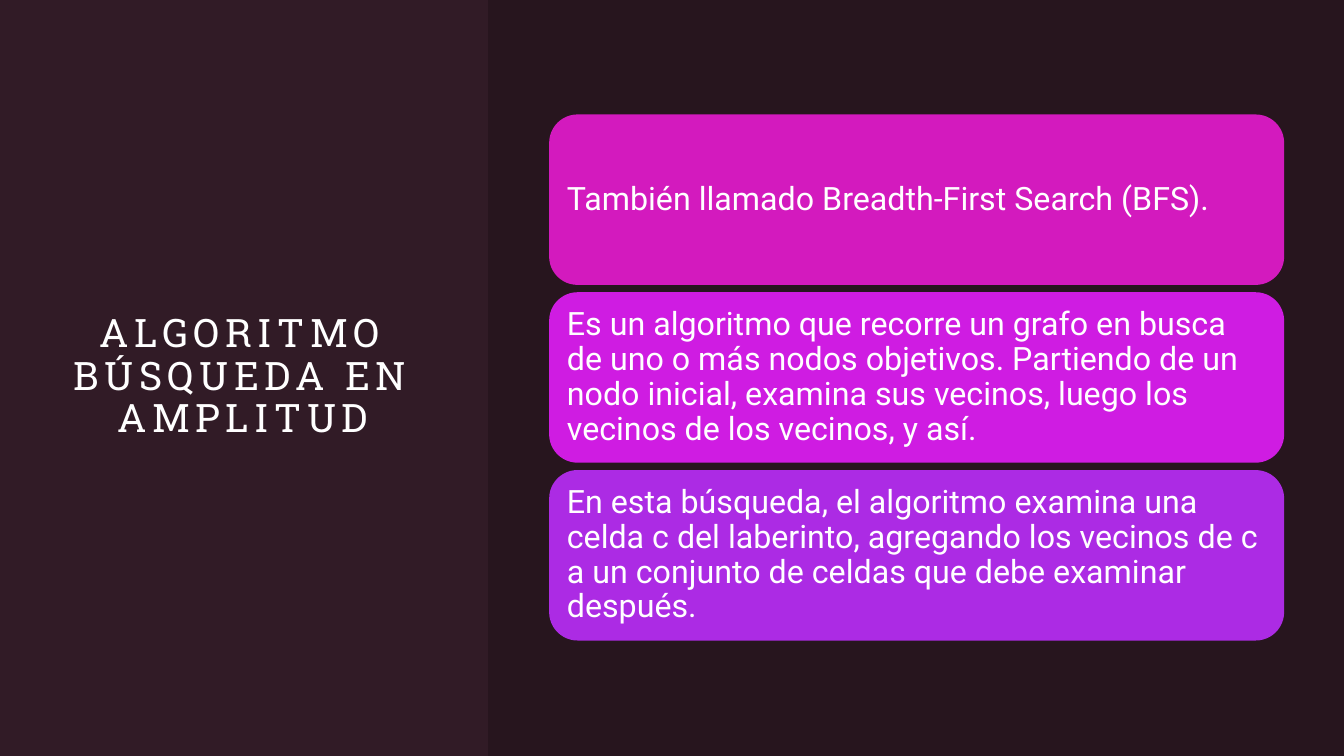
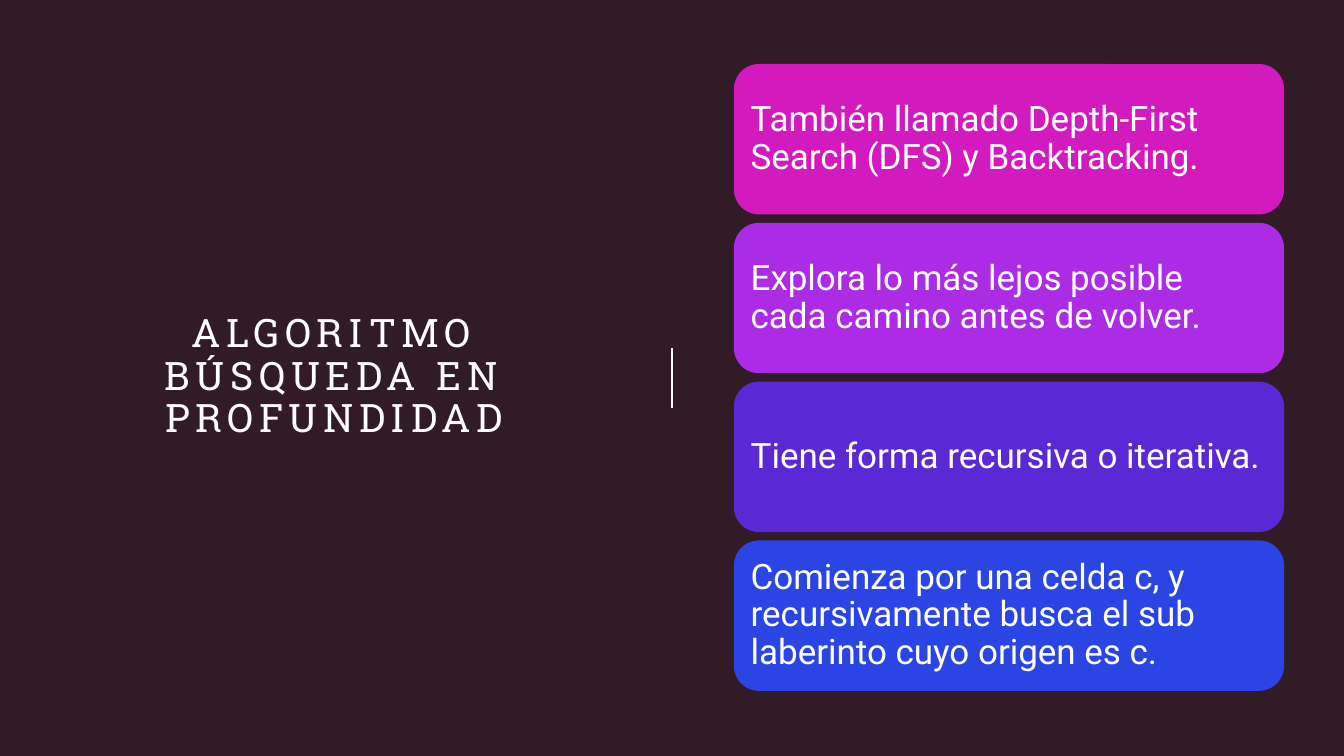
from dataclasses import dataclass

from lxml import etree
from pptx import Presentation
from pptx.dml.color import RGBColor
from pptx.enum.shapes import MSO_CONNECTOR, MSO_SHAPE
from pptx.enum.text import MSO_ANCHOR, MSO_AUTO_SIZE, PP_ALIGN
from pptx.oxml.ns import qn
from pptx.presentation import Presentation as PresentationType
from pptx.shapes.autoshape import Shape
from pptx.slide import Slide
from pptx.text.text import TextFrame
from pptx.util import Emu, Pt

RECTANGLE = MSO_SHAPE.RECTANGLE
ROUNDED_RECTANGLE = MSO_SHAPE.ROUNDED_RECTANGLE
STRAIGHT = MSO_CONNECTOR.STRAIGHT
MIDDLE = MSO_ANCHOR.MIDDLE
NO_AUTOFIT = MSO_AUTO_SIZE.NONE
CENTER = PP_ALIGN.CENTER
LEFT = PP_ALIGN.LEFT

PLUM = RGBColor(0x31, 0x1B, 0x26)
BLACK = RGBColor(0x00, 0x00, 0x00)
WHITE = RGBColor(0xFF, 0xFF, 0xFF)
MAGENTA = RGBColor(0xD3, 0x1A, 0xBE)
FUCHSIA = RGBColor(0xCF, 0x1C, 0xE2)
PURPLE = RGBColor(0xAC, 0x2B, 0xE4)
INDIGO = RGBColor(0x58, 0x29, 0xD5)
BLUE = RGBColor(0x2B, 0x45, 0xE4)

TITLE_FONT = "Roboto Slab"
BODY_FONT = "Roboto"
EMU_PER_PX = 9525
SLIDE_WIDTH = 1280
SLIDE_HEIGHT = 720
TITLE_ONLY_LAYOUT = 5
CARD_MARGIN = 9


@dataclass(frozen=True)
class Box:
    left: int
    top: int
    width: int
    height: int


@dataclass(frozen=True)
class Card:
    text: str
    color: RGBColor


@dataclass(frozen=True)
class CardStack:
    area: Box
    gap: int
    font_size: int
    cards: tuple[Card, ...]


BREADTH_TITLE_BOX = Box(57, 113, 348, 493)
DEPTH_TITLE_BOX = Box(113, 113, 410, 493)
PANEL_BOX = Box(465, 0, 815, SLIDE_HEIGHT)
DIVIDER_BOX = Box(640, 331, 0, 58)

BREADTH_STACK = CardStack(Box(523, 109, 700, 501), 7, 23, (
    Card("También llamado Breadth-First Search (BFS).", MAGENTA),
    Card("Es un algoritmo que recorre un grafo en busca de uno o más nodos "
         "objetivos. Partiendo de un nodo inicial, examina sus vecinos, luego "
         "los vecinos de los vecinos, y así.", FUCHSIA),
    Card("En esta búsqueda, el algoritmo examina una celda c del laberinto, "
         "agregando los vecinos de c a un conjunto de celdas que debe examinar "
         "después.", PURPLE),
))
DEPTH_STACK = CardStack(Box(699, 61, 524, 597), 8, 25, (
    Card("También llamado Depth-First Search (DFS) y Backtracking.", MAGENTA),
    Card("Explora lo más lejos posible cada camino antes de volver.", PURPLE),
    Card("Tiene forma recursiva o iterativa.", INDIGO),
    Card("Comienza por una celda c, y recursivamente busca el sub laberinto "
         "cuyo origen es c.", BLUE),
))


def px(length: float) -> Emu:
    return Emu(round(length * EMU_PER_PX))


def set_text(frame: TextFrame, text: str, font_name: str, font_size: int,
             alignment: PP_ALIGN, margin: int) -> None:
    frame.word_wrap = True
    frame.auto_size = NO_AUTOFIT
    frame.vertical_anchor = MIDDLE
    frame.margin_left = frame.margin_right = px(margin)
    frame.margin_top = frame.margin_bottom = px(margin)
    frame.text = text
    paragraph = frame.paragraphs[0]
    paragraph.alignment = alignment
    paragraph.line_spacing = 0.9
    paragraph.font.name = font_name
    paragraph.font.size = Pt(font_size)
    paragraph.font.color.rgb = WHITE


def add_titled_slide(presentation: PresentationType, text: str, box: Box) -> Slide:
    slide = presentation.slides.add_slide(presentation.slide_layouts[TITLE_ONLY_LAYOUT])
    title = slide.shapes.title
    title.left, title.top = px(box.left), px(box.top)
    title.width, title.height = px(box.width), px(box.height)
    set_text(title.text_frame, text, TITLE_FONT, 28, CENTER, 0)
    for properties in title.element.iter(qn("a:defRPr")):
        properties.set("spc", "400")
    return slide


def add_filled_shape(slide: Slide, kind: MSO_SHAPE, left: float, top: float,
                     width: float, height: float, color: RGBColor) -> Shape:
    shape = slide.shapes.add_shape(kind, px(left), px(top), px(width), px(height))
    shape.shadow.inherit = False
    shape.fill.solid()
    shape.fill.fore_color.rgb = color
    shape.line.fill.background()
    return shape


def add_shaded_panel(slide: Slide, box: Box) -> None:
    panel = add_filled_shape(slide, RECTANGLE, box.left, box.top,
                             box.width, box.height, BLACK)
    color = panel.element.spPr.find(qn("a:solidFill")).find(qn("a:srgbClr"))
    etree.SubElement(color, qn("a:alpha"), val="20000")


def add_divider(slide: Slide, box: Box) -> None:
    divider = slide.shapes.add_connector(
        STRAIGHT, px(box.left), px(box.top),
        px(box.left + box.width), px(box.top + box.height))
    divider.line.color.rgb = WHITE
    divider.line.width = Pt(1)
    etree.SubElement(divider.element.spPr, qn("a:effectLst"))


def add_card_stack(slide: Slide, stack: CardStack) -> None:
    area = stack.area
    count = len(stack.cards)
    height = (area.height - stack.gap * (count - 1)) / count
    for index, card in enumerate(stack.cards):
        top = area.top + index * (height + stack.gap)
        shape = add_filled_shape(slide, ROUNDED_RECTANGLE, area.left, top,
                                 area.width, height, card.color)
        set_text(shape.text_frame, card.text, BODY_FONT, stack.font_size,
                 LEFT, CARD_MARGIN)


def main() -> None:
    presentation = Presentation()
    presentation.slide_width = px(SLIDE_WIDTH)
    presentation.slide_height = px(SLIDE_HEIGHT)
    background = presentation.slide_master.background.fill
    background.solid()
    background.fore_color.rgb = PLUM

    breadth_slide = add_titled_slide(
        presentation, "ALGORITMO BÚSQUEDA EN AMPLITUD", BREADTH_TITLE_BOX)
    add_shaded_panel(breadth_slide, PANEL_BOX)
    add_card_stack(breadth_slide, BREADTH_STACK)

    depth_slide = add_titled_slide(
        presentation, "ALGORITMO BÚSQUEDA EN PROFUNDIDAD", DEPTH_TITLE_BOX)
    add_divider(depth_slide, DIVIDER_BOX)
    add_card_stack(depth_slide, DEPTH_STACK)

    presentation.save("out.pptx")


if __name__ == "__main__":
    main()
